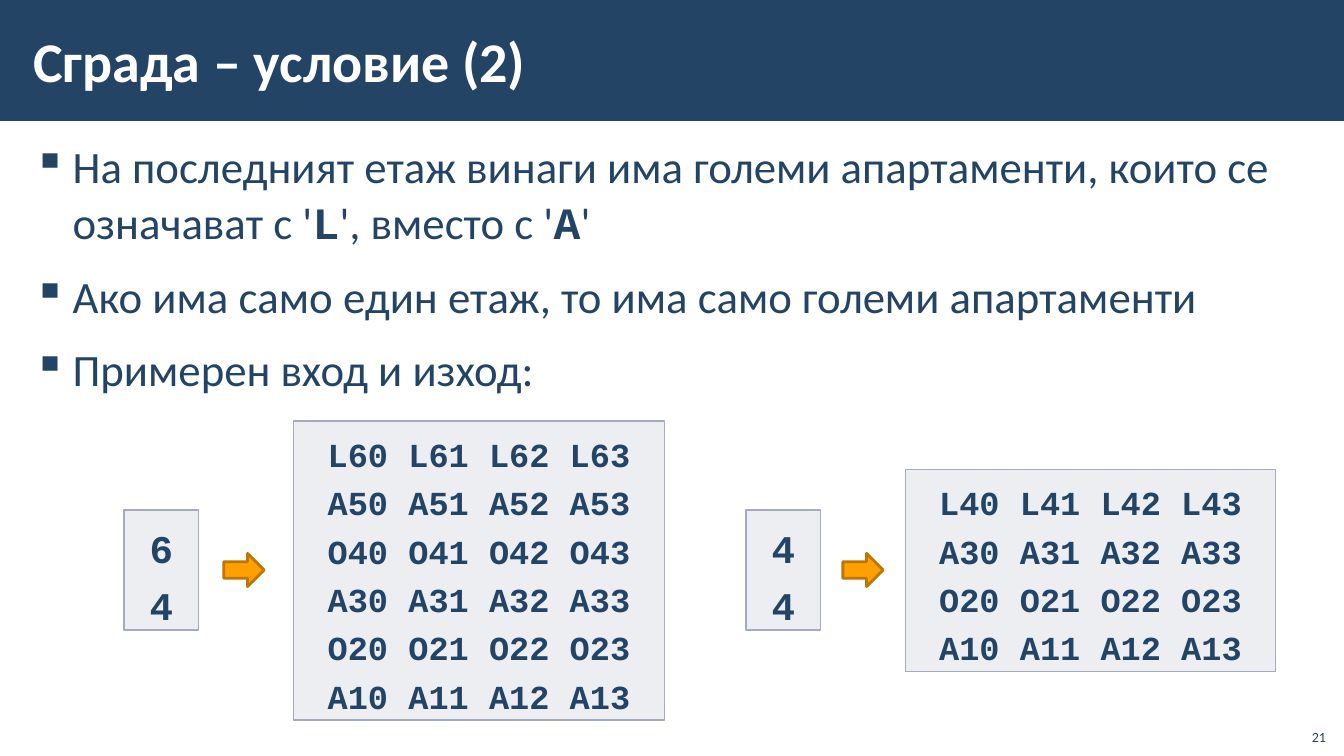
from lxml.etree import SubElement
from pptx import Presentation
from pptx.dml.color import RGBColor
from pptx.enum.shapes import MSO_SHAPE
from pptx.enum.text import MSO_ANCHOR, MSO_AUTO_SIZE, PP_ALIGN
from pptx.oxml.ns import qn
from pptx.util import Inches, Pt

NAVY, GREY, GOLD, BROWN, WHITE = "234465", "A3ABBC", "FFA000", "BD7600", "FFFFFF"
SANS, MONO = "Calibri", "Courier New"


def color(code):
    return RGBColor.from_string(code)


def style(run, size, code=NAVY, font=SANS, bold=False):
    run.font.size = Pt(size)
    run.font.name = font
    run.font.bold = bold
    run.font.color.rgb = color(code)


def shape(slide, kind, box, fill, line=None, width=1):
    item = slide.shapes.add_shape(kind, *map(Inches, box))
    item.shadow.inherit = False
    item.fill.solid()
    item.fill.fore_color.rgb = color(fill)
    if line:
        item.line.color.rgb = color(line)
        item.line.width = Pt(width)
    else:
        item.line.fill.background()
    return item


def label(slide, box, anchor, pad=(0.12, 0.04)):
    frame = slide.shapes.add_textbox(*map(Inches, box)).text_frame
    frame.word_wrap = True
    frame.vertical_anchor = anchor
    frame.margin_left = frame.margin_right = Inches(pad[0])
    frame.margin_top = frame.margin_bottom = Inches(pad[1])
    return frame


def header(slide, box, title):
    left, top, width, height = box
    shape(slide, MSO_SHAPE.RECTANGLE, box, NAVY)
    frame = label(slide, (left + 0.21, top + 0.11, 10.63, height - 0.23), MSO_ANCHOR.MIDDLE)
    frame.text = title
    style(frame.paragraphs[0].runs[0], 40, WHITE, bold=True)


def bullets(slide, box, items):
    frame = label(slide, box, MSO_ANCHOR.TOP)
    for i, parts in enumerate(items):
        para = frame.add_paragraph() if i else frame.paragraphs[0]
        para.line_spacing = 1.05
        para.space_before = para.space_after = Pt(6)
        props = para._p.get_or_add_pPr()
        props.set("marL", str(Inches(0.39)))
        props.set("indent", str(-Inches(0.39)))
        SubElement(props, qn("a:buChar")).set("char", "▪")
        for j, part in enumerate(parts):
            run = para.add_run()
            run.text = part
            code = j % 2 == 1
            style(run, 32, font=MONO if code else SANS, bold=code)


def panel(slide, box, lines, size):
    item = shape(slide, MSO_SHAPE.RECTANGLE, box, GREY, GREY)
    tint = item.fill._xPr.find(qn("a:solidFill"))[0]
    SubElement(tint, qn("a:alpha")).set("val", "20000")
    frame = item.text_frame
    frame.word_wrap = True
    frame.auto_size = MSO_AUTO_SIZE.SHAPE_TO_FIT_TEXT
    frame.vertical_anchor = MSO_ANCHOR.TOP
    frame.text = "\n".join(lines)
    for para in frame.paragraphs:
        para.alignment = PP_ALIGN.CENTER
        para.line_spacing = 1.2
        style(para.runs[0], size, font=MONO, bold=True)


def sample(slide, box, arrow, grid, data, rows):
    left, mid, width = box
    panel(slide, (left, mid - 0.6, 0.74, 1.19), data, 28)
    shape(slide, MSO_SHAPE.RIGHT_ARROW, (left + arrow, mid - 0.17, 0.4, 0.33), GOLD, BROWN, 2)
    high = 0.48 * len(rows) + 0.09
    panel(slide, (left + grid, mid - high / 2, width - grid, high), rows, 24)


def number(slide, box, text):
    frame = label(slide, box, MSO_ANCHOR.BOTTOM, (0.1, 0.05))
    frame.text = text
    frame.paragraphs[0].alignment = PP_ALIGN.RIGHT
    style(frame.paragraphs[0].runs[0], 10)


def floors(kinds):
    top = len(kinds)
    return [" ".join(f"{kind}{top - i}{flat}" for flat in range(4))
            for i, kind in enumerate(kinds)]


def main():
    deck = Presentation()
    deck.slide_width, deck.slide_height = Inches(13.33), Inches(7.5)
    slide = deck.slides.add_slide(deck.slide_layouts[6])
    header(slide, (0, 0, 13.33, 1.2), "Сграда – условие (2)")
    bullets(slide, (0.21, 1.31, 12.92, 6.05), [
        ["На последният етаж винаги има големи апартаменти, които се означават с '",
         "L", "', вместо с '", "А", "'"],
        ["Ако има само един етаж, то има само големи апартаменти"],
        ["Примерен вход и изход:"],
    ])
    sample(slide, (1.23, 5.66, 5.36), 0.99, 1.68, ["6", "4"], floors("LAOAOA"))
    sample(slide, (7.4, 5.66, 5.25), 0.96, 1.58, ["4", "4"], floors("LAOA"))
    number(slide, (12.85, 7.12, 0.4, 0.32), "21")
    deck.save("out.pptx")


if __name__ == "__main__":
    main()
